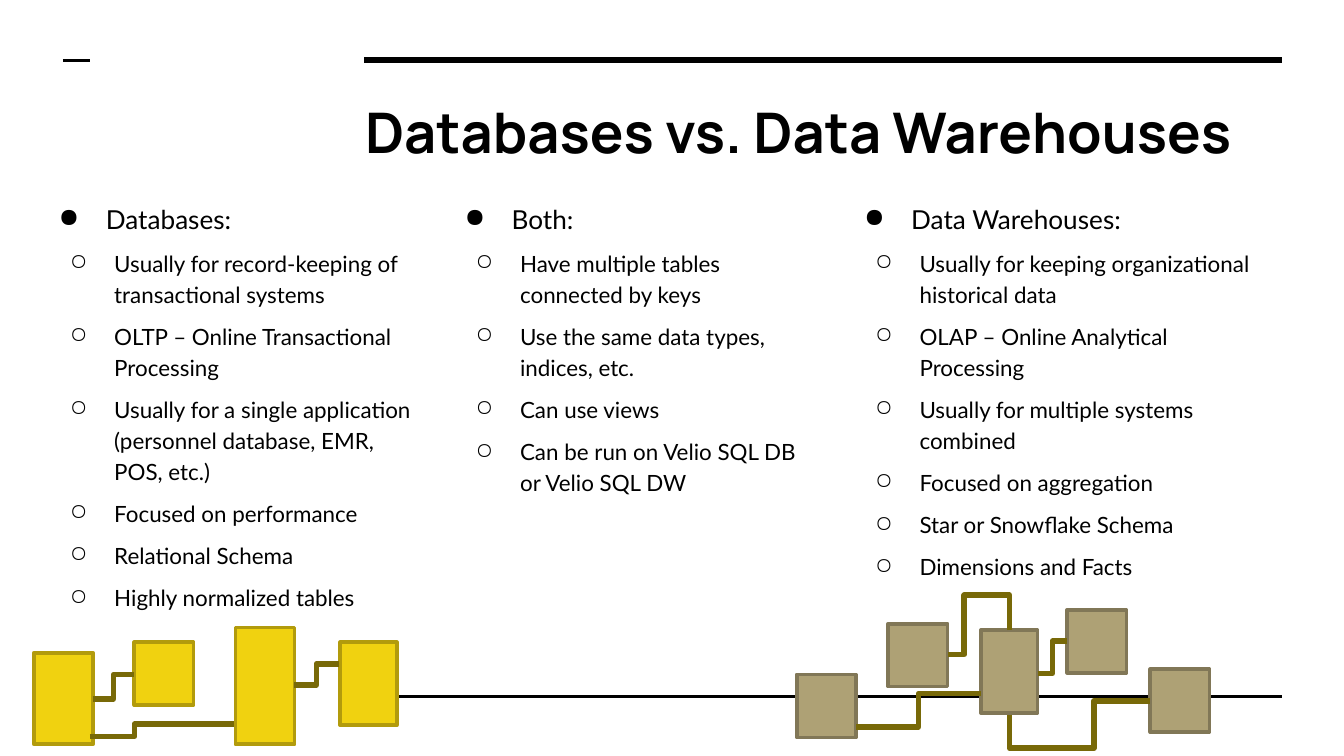
from lxml import etree
from pptx import Presentation
from pptx import util as u
from pptx.dml.color import RGBColor
from pptx.enum import shapes, text
from pptx.oxml.ns import qn

COLORS = {
    "black": "000000",
    "yellow": "F0D210",
    "yellow_edge": "B29B0C",
    "tan": "AEA175",
    "tan_edge": "817757",
    "link": "786908",
}
TITLE = {"name": "Manrope", "size": u.Pt(30), "bold": True}
HEADING = {"name": "Lato", "size": u.Pt(14)}
ITEM = {"name": "Lato", "size": u.Pt(12)}
FRAME = {
    "word_wrap": True,
    "auto_size": text.MSO_AUTO_SIZE.NONE,
    "vertical_anchor": text.MSO_ANCHOR.TOP,
    "margin_left": u.Cm(0.25),
    "margin_right": u.Cm(0.25),
    "margin_top": u.Cm(0.25),
    "margin_bottom": u.Cm(0.25),
}


def rgb(name):
    return RGBColor.from_string(COLORS[name])


def assign(obj, values):
    for key, value in values.items():
        setattr(obj, key, value)


class Deck:
    def __init__(self, width, height):
        self.prs = Presentation()
        self.prs.slide_width, self.prs.slide_height = u.Cm(width), u.Cm(height)
        self.s = self.prs.slides.add_slide(self.prs.slide_layouts[6])

    def frame(self, x, y, w, h):
        sp = self.s.shapes.add_textbox(u.Cm(x), u.Cm(y), u.Cm(w), u.Cm(h))
        assign(sp.text_frame, FRAME)
        return sp.text_frame

    def run(self, p, words, style):
        r = p.add_run()
        r.text = words
        assign(r.font, style)
        r.font.color.rgb = rgb("black")

    def title(self, box, words):
        self.run(self.frame(*box).paragraphs[0], words, TITLE)

    def bullet(self, p, char, left, hang):
        pPr = p._p.get_or_add_pPr()
        pPr.set("marL", str(u.Cm(left)))
        pPr.set("indent", str(-u.Cm(hang)))
        color = etree.SubElement(pPr, qn("a:buClr"))
        etree.SubElement(color, qn("a:srgbClr"), val=COLORS["black"])
        etree.SubElement(pPr, qn("a:buChar"), char=char)

    def column(self, box, heading, items):
        tf = self.frame(*box)
        p = tf.paragraphs[0]
        self.bullet(p, "●", 1.27, 0.89)
        p.line_spacing = 1.15
        self.run(p, heading, HEADING)
        for item in items:
            p = tf.add_paragraph()
            self.bullet(p, "○", 1.43, 0.84)
            assign(p, {"level": 1, "line_spacing": 1.15, "space_before": u.Pt(6)})
            self.run(p, item, ITEM)

    def block(self, box, color):
        sp = self.s.shapes.add_shape(shapes.MSO_SHAPE.RECTANGLE, *map(u.Cm, box))
        sp.shadow.inherit = False
        sp.fill.solid()
        sp.fill.fore_color.rgb = rgb(color)
        sp.line.color.rgb = rgb(color + "_edge")
        sp.line.width = u.Pt(2)

    def connector(self, kind, ends, color, width):
        c = self.s.shapes.add_connector(kind, *map(u.Cm, ends))
        c.line.color.rgb = rgb(color)
        c.line.width = u.Pt(width)
        etree.SubElement(c._element.spPr, qn("a:effectLst"))
        return c

    def rule(self, x1, x2, y, width):
        self.connector(shapes.MSO_CONNECTOR.STRAIGHT, (x1, y, x2, y), "black", width)

    def elbow(self, ends, adjust=(0.5,), turn=0):
        if turn:
            x1, y1, x2, y2 = ends
            sign = 1 if turn == 90 else -1
            cx, cy = (x1 + x2) / 2, (y1 + y2) / 2
            dx, dy = sign * (y1 - cy), -sign * (x1 - cx)
            ends = cx + dx, cy + dy, cx - dx, cy - dy
        c = self.connector(shapes.MSO_CONNECTOR.ELBOW, ends, "link", 3)
        spPr = c._element.spPr
        if turn:
            spPr.find(qn("a:xfrm")).set("rot", str(turn * 60000))
        geom = spPr.find(qn("a:prstGeom"))
        geom.set("prst", f"bentConnector{len(adjust) + 2}")
        guides = geom.find(qn("a:avLst"))
        for i, value in enumerate(adjust, 1):
            etree.SubElement(guides, qn("a:gd"), name=f"adj{i}",
                             fmla=f"val {round(value * 100000)}")


def main():
    deck = Deck(25.4, 14.29)
    deck.rule(6.88, 24.23, 1.14, 3)
    deck.rule(6.88, 24.23, 13.16, 1.5)
    deck.rule(1.19, 1.7, 1.14, 1.5)
    deck.title((6.65, 1.6, 17.55, 1.75), "Databases vs. Data Warehouses")

    columns = [
        (0.48, 7.8, "Databases:", [
            "Usually for record-keeping of transactional systems",
            "OLTP – Online Transactional Processing",
            "Usually for a single application (personnel database, EMR, POS, etc.)",
            "Focused on performance",
            "Relational Schema",
            "Highly normalized tables",
        ]),
        (15.7, 8.53, "Data Warehouses:", [
            "Usually for keeping organizational historical data",
            "OLAP – Online Analytical Processing",
            "Usually for multiple systems combined",
            "Focused on aggregation",
            "Star or Snowflake Schema",
            "Dimensions and Facts",
        ]),
        (8.15, 7.26, "Both:", [
            "Have multiple tables connected by keys",
            "Use the same data types, indices, etc.",
            "Can use views",
            "Can be run on Velio SQL DB or Velio SQL DW",
        ]),
    ]
    for x, w, heading, items in columns:
        deck.column((x, 3.51, w, 8.33), heading, items)

    for box in [(0.64, 12.34, 1.12, 1.73), (2.54, 12.14, 1.12, 1.19),
                (4.45, 11.86, 1.12, 2.21), (6.43, 12.14, 1.07, 1.57)]:
        deck.block(box, "yellow")
    deck.elbow((1.75, 13.21, 2.54, 12.75))
    deck.elbow((1.7, 13.92, 4.42, 13.69), (0.31,))
    deck.elbow((5.56, 12.95, 6.4, 12.55))

    deck.block((18.54, 11.91, 1.07, 1.57), "tan")
    for x, y in [(16.79, 11.79), (15.06, 12.75), (20.17, 11.53), (21.74, 12.65)]:
        deck.block((x, y, 1.12, 1.19), "tan")
    deck.elbow((19.08, 11.91, 17.91, 12.37), (-1.43, 0.73), 270)
    deck.elbow((19.61, 12.73, 20.17, 12.12))
    deck.elbow((19.08, 13.51, 21.74, 13.25), (-2.45, 0.6), 90)
    deck.elbow((18.54, 13.11, 16.18, 13.74))

    deck.prs.save("out.pptx")


if __name__ == "__main__":
    main()
